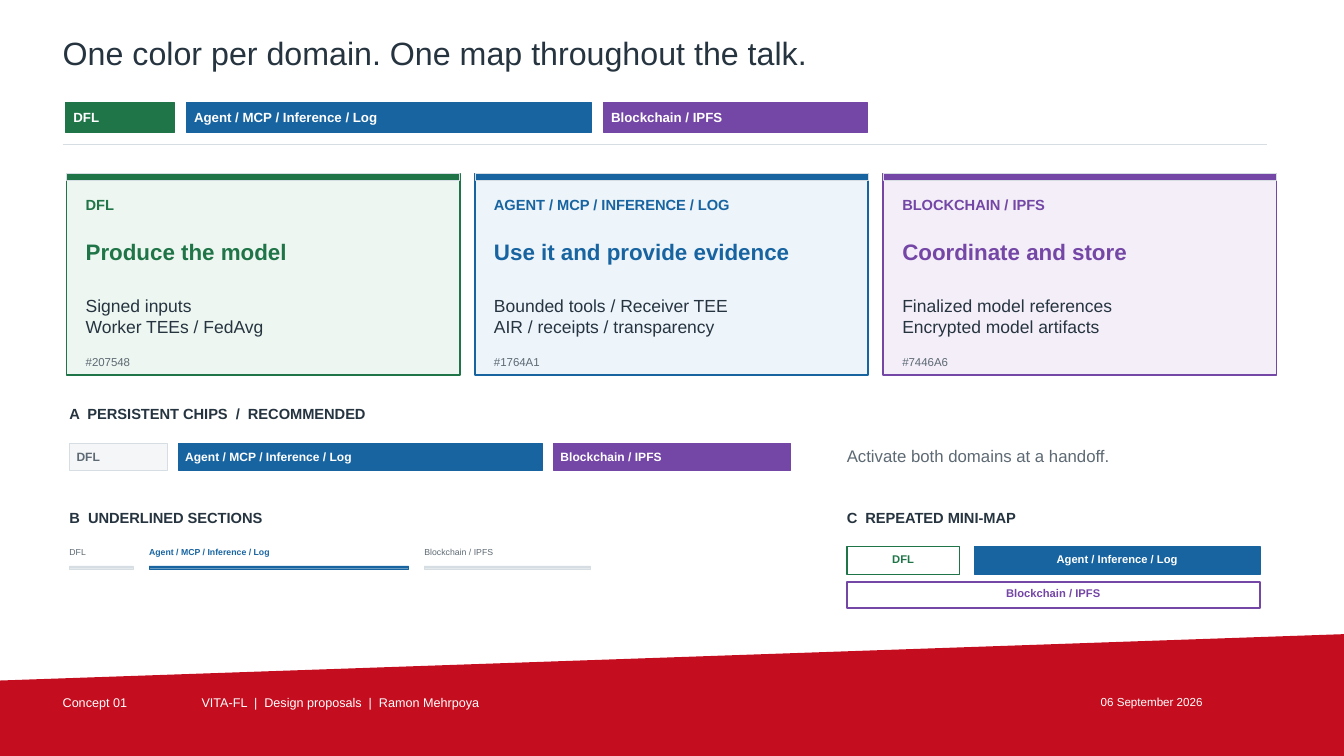
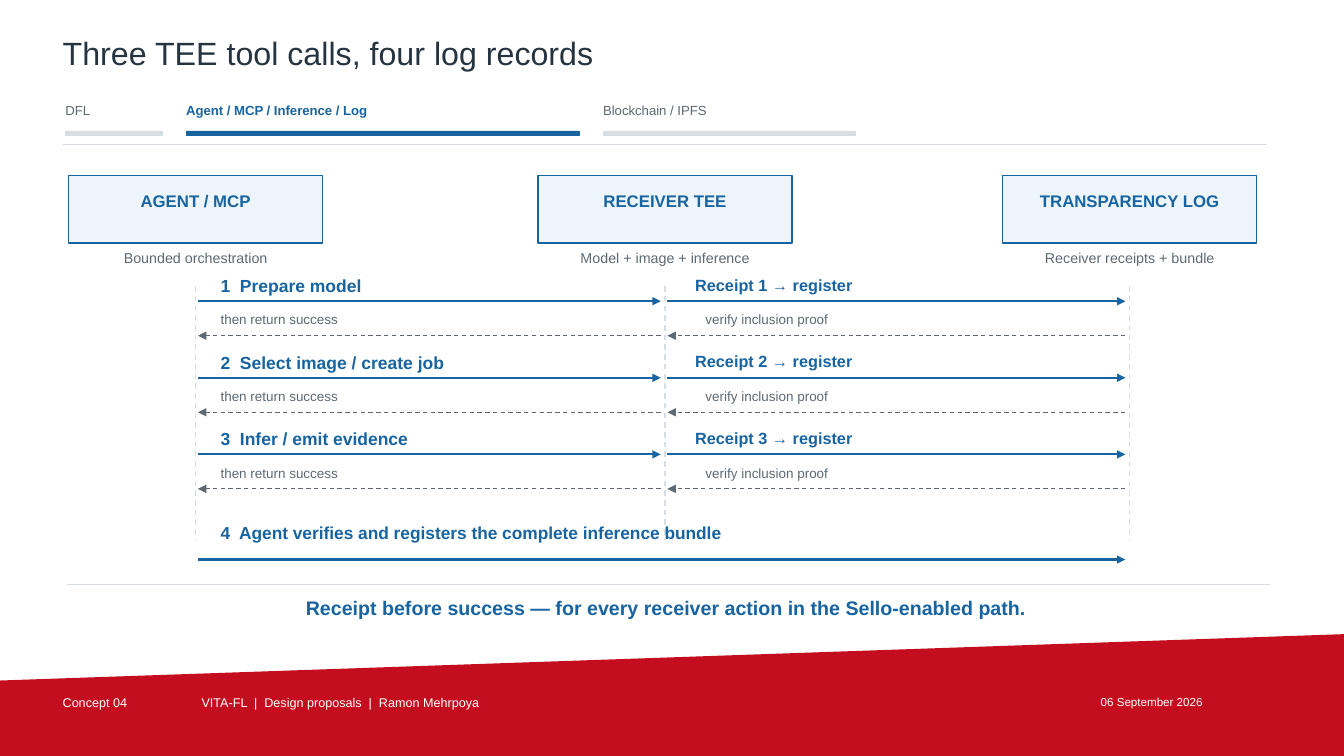
from lxml import etree
from pptx import Presentation
from pptx import util as u
from pptx.dml.color import RGBColor
from pptx.enum import dml, shapes, text
from pptx.oxml.ns import qn

INK, GREY, PALE, OFF = "263440", "5D6973", "D7DEE3", "F5F6F7"
WHITE, RED = "FFFFFF", "C40D1E"
GREEN, BLUE, PURPLE, LIGHT_BLUE = "207548", "1764A1", "7446A6", "EDF4FA"

WIDTH, HEIGHT = 33.87, 19.05
MARGIN, RIGHT_COLUMN = 1.58, 21.34
AUTHOR_LINE = "VITA-FL  |  Design proposals  |  Ramon Mehrpoya"
DATE = "06 September 2026"
BAND = [(0, 17.15), (33.88, 15.98), (WIDTH, HEIGHT), (0, HEIGHT)]

# name, colour, tint, chip width, headline, details
DOMAINS = [
    ("DFL", GREEN, "EDF6F0", 2.74, "Produce the model",
     ["Signed inputs", "Worker TEEs / FedAvg"]),
    ("Agent / MCP / Inference / Log", BLUE, LIGHT_BLUE, 10.21, "Use it and provide evidence",
     ["Bounded tools / Receiver TEE", "AIR / receipts / transparency"]),
    ("Blockchain / IPFS", PURPLE, "F3EEF8", 6.65, "Coordinate and store",
     ["Finalized model references", "Encrypted model artifacts"]),
]
DOMAIN_GAP = 0.3

SECTIONS = [
    (1.75, 10.21, "A  PERSISTENT CHIPS  /  RECOMMENDED"),
    (1.75, 12.83, "B  UNDERLINED SECTIONS"),
    (RIGHT_COLUMN, 12.83, "C  REPEATED MINI-MAP"),
]
# text, left, top, width, height, fill, line, text colour
MINI_MAP = [
    ("DFL", RIGHT_COLUMN, 13.77, 2.84, 0.71, WHITE, GREEN, GREEN),
    ("Agent / Inference / Log", 24.56, 13.77, 7.19, 0.71, BLUE, BLUE, WHITE),
    ("Blockchain / IPFS", RIGHT_COLUMN, 14.66, 10.41, 0.66, WHITE, PURPLE, PURPLE),
]

# name, role, centre
ACTORS = [
    ("AGENT / MCP", "Bounded orchestration", 4.93),
    ("RECEIVER TEE", "Model + image + inference", 16.76),
    ("TRANSPARENCY LOG", "Receiver receipts + bundle", 28.47),
]
CALLS = ["Prepare model", "Select image / create job", "Infer / emit evidence"]
CALL_TOP, CALL_PITCH = 6.93, 1.93


def rgb(color):
    return RGBColor.from_string(color)


def write(shape, lines, align="LEFT", anchor="TOP", margins=(0, 0, 0, 0)):
    """Fill a shape with lines of (text, size, colour, bold, space before)."""
    frame = shape.text_frame
    left, top, right, bottom = map(u.Cm, margins)
    settings = {"word_wrap": True, "vertical_anchor": getattr(text.MSO_ANCHOR, anchor),
                "margin_left": left, "margin_top": top,
                "margin_right": right, "margin_bottom": bottom}
    for key, value in settings.items():
        setattr(frame, key, value)
    for index, (words, size, color, bold, before) in enumerate(lines):
        para = frame.add_paragraph() if index else frame.paragraphs[0]
        para.alignment = getattr(text.PP_ALIGN, align)
        if before:
            para.space_before = u.Pt(before)
        span = para.add_run()
        span.text = words
        for key, value in {"name": "Arial", "size": u.Pt(size), "bold": bold}.items():
            setattr(span.font, key, value)
        span.font.color.rgb = rgb(color)


def label(page, x, y, w, h, words, size, color, bold=False, align="LEFT"):
    box = page.shapes.add_textbox(*map(u.Cm, (x, y, w, h)))
    write(box, [(words, size, color, bold, 0)], align)


def rect(page, x, y, w, h, fill, line, weight):
    box = page.shapes.add_shape(shapes.MSO_SHAPE.RECTANGLE, *map(u.Cm, (x, y, w, h)))
    box.shadow.inherit = False
    box.fill.solid()
    box.fill.fore_color.rgb = rgb(fill)
    box.line.color.rgb = rgb(line)
    box.line.width = u.Pt(weight)
    return box


def connect(page, x1, y1, x2, y2, color, weight, dashed=False, arrow=False):
    link = page.shapes.add_connector(shapes.MSO_CONNECTOR.STRAIGHT,
                                     *map(u.Cm, (x1, y1, x2, y2)))
    link.line.color.rgb = rgb(color)
    link.line.width = u.Pt(weight)
    if dashed:
        link.line.dash_style = dml.MSO_LINE.DASH
    properties = link.element.spPr
    if arrow:
        etree.SubElement(properties.find(qn("a:ln")), qn("a:tailEnd"), type="triangle")
    etree.SubElement(properties, qn("a:effectLst"))


def add_band(page, layout):
    """Draw the red band and move it to the layout that all slides share."""
    points = [(u.Cm(x), u.Cm(y)) for x, y in BAND]
    builder = page.shapes.build_freeform(*points[0], scale=1.0)
    builder.add_line_segments(points[1:], close=True)
    band = builder.convert_to_shape()
    band.shadow.inherit = False
    band.fill.solid()
    band.fill.fore_color.rgb = rgb(RED)
    band.line.fill.background()
    layout.shapes.element.append(band.element)


def add_frame(page, title, concept):
    label(page, MARGIN, 0.84, 27.3, 1.45, title, 23, INK)
    connect(page, MARGIN, 3.64, 31.93, 3.64, PALE, 0.75)
    for x, w, words, size in [(MARGIN, 3.3, concept, 9), (5.08, 22.35, AUTHOR_LINE, 9),
                              (27.74, 4.6, DATE, 8.3)]:
        label(page, x, 17.5, w, 0.56, words, size, WHITE)


def domain_slots(left, scale):
    for name, color, _, width, *_ in DOMAINS:
        yield name, color, left, width * scale
        left += (width + DOMAIN_GAP) * scale


def add_chips(page, left, top, scale, active):
    for name, color, x, w in domain_slots(left, scale):
        fill, line, ink = (color, color, WHITE) if name in active else (OFF, PALE, GREY)
        chip = rect(page, x, top, w, 0.74 * scale, fill, line, 0.6)
        write(chip, [(name, round(9.5 * scale, 1), ink, True, 0)],
              anchor="MIDDLE", margins=(0.2 * scale, 0, 0, 0.03))


def add_tabs(page, left, top, scale, active):
    for name, color, x, w in domain_slots(left, scale):
        on = name == active
        label(page, x, top, w, 0.53 * scale, name, round(9.4 * scale, 1),
              color if on else GREY, on)
        bar = color if on else PALE
        rect(page, x, top + 0.71 * scale, w - DOMAIN_GAP * scale, 0.11 * scale, bar, bar, 0.2)


def add_cards(page):
    for index, (name, color, tint, _, headline, details) in enumerate(DOMAINS):
        x, y, w = 1.68 + 10.29 * index, 4.37, 9.91
        card = rect(page, x, y, w, 5.08, tint, color, 1.1)
        lines = [(name.upper(), 10.5, color, True, 0), (headline, 16, color, True, 17.5)]
        lines += [(detail, 12.5, INK, False, 0 if n else 22) for n, detail in enumerate(details)]
        lines.append((f"#{color}", 8.2, GREY, False, 12.3))
        write(card, lines, margins=(0.48, 0.56, 0.48, 0))
        rect(page, x, y, w, 0.18, color, PALE, 0.5)


def build_color_map(page):
    add_frame(page, "One color per domain. One map throughout the talk.", "Concept 01")
    names = [domain[0] for domain in DOMAINS]
    add_chips(page, 1.65, 2.59, 1, names)
    add_cards(page)
    for x, y, heading in SECTIONS:
        label(page, x, y, 14.5, 0.58, heading, 10.5, INK, True)
    add_chips(page, 1.75, 11.18, 0.9, names[1:])
    label(page, RIGHT_COLUMN, 11.23, 10.54, 0.74, "Activate both domains at a handoff.", 12, GREY)
    add_tabs(page, 1.75, 13.79, 0.66, names[1])
    for words, x, y, w, h, fill, line, ink in MINI_MAP:
        cell = rect(page, x, y, w, h, fill, line, 1.1)
        write(cell, [(words, 8, ink, True, 0)], "CENTER", "MIDDLE", (0.1, 0, 0.1, 0.08))


def add_call(page, number, call):
    top = CALL_TOP + CALL_PITCH * (number - 1)
    agent, receiver, log = [actor[2] for actor in ACTORS]
    # start, end, heading, heading size, heading indent, reply, reply indent
    legs = [(agent, receiver, f"{number}  {call}", 12.5, 0.63, "then return success", 0.63),
            (receiver, log, f"Receipt {number} → register", 11.6, 0.76,
             "verify inclusion proof", 1.02)]
    for start, end, heading, size, indent, reply, reply_indent in legs:
        label(page, start + indent, top, 10.4, 0.61, heading, size, BLUE, True)
        label(page, start + reply_indent, top + 0.92, 10.03, 0.51, reply, 9.6, GREY)
        near, far = start + 0.06, end - 0.11
        connect(page, near, top + 0.66, far, top + 0.66, BLUE, 1.5, arrow=True)
        connect(page, far, top + 1.53, near, top + 1.53, GREY, 0.8, dashed=True, arrow=True)


def build_sequence(page):
    add_frame(page, "Three TEE tool calls, four log records", "Concept 04")
    add_tabs(page, 1.65, 2.59, 1, DOMAINS[1][0])
    for name, role, center in ACTORS:
        actor = rect(page, center - 3.2, 4.42, 6.4, 1.7, LIGHT_BLUE, BLUE, 1.1)
        write(actor, [(name, 12, BLUE, True, 0)], "CENTER", "MIDDLE", (0.28, 0, 0.28, 0.4))
        label(page, center - 4.32, 6.27, 8.64, 0.56, role, 10.2, GREY, align="CENTER")
        connect(page, center, 7.21, center, 13.59, PALE, 1, dashed=True)
    for number, call in enumerate(CALLS, 1):
        add_call(page, number, call)
    first, last = ACTORS[0][2], ACTORS[-1][2]
    label(page, first + 0.63, 13.16, 21.9, 0.71,
          "4  Agent verifies and registers the complete inference bundle", 12.4, BLUE, True)
    connect(page, first + 0.06, 14.1, last - 0.11, 14.1, BLUE, 1.8, arrow=True)
    connect(page, 1.68, 14.72, 32, 14.72, PALE, 0.75)
    label(page, 1.83, 15.01, 29.92, 0.84,
          "Receipt before success — for every receiver action in the Sello-enabled path.",
          14, BLUE, True, "CENTER")


def main():
    deck = Presentation()
    deck.slide_width, deck.slide_height = u.Cm(WIDTH), u.Cm(HEIGHT)
    blank = deck.slide_layouts[6]
    pages = [deck.slides.add_slide(blank) for _ in range(2)]
    add_band(pages[0], blank)
    for build, page in zip((build_color_map, build_sequence), pages):
        build(page)
    deck.save("out.pptx")


if __name__ == "__main__":
    main()
